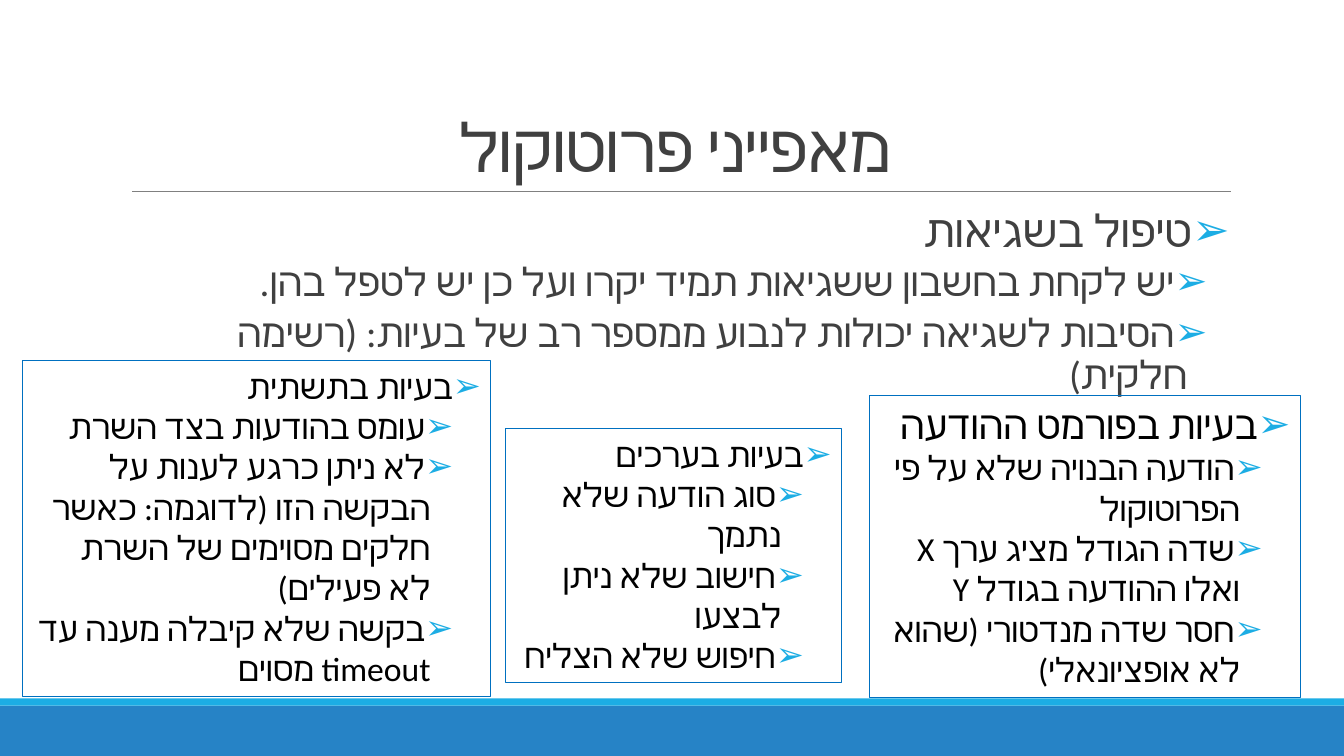
from lxml.etree import SubElement
from pptx import Presentation
from pptx.dml.color import RGBColor
from pptx.enum.shapes import MSO_CONNECTOR, MSO_SHAPE
from pptx.enum.text import MSO_ANCHOR, MSO_AUTO_SIZE, PP_ALIGN
from pptx.oxml.ns import qn
from pptx.util import Cm, Pt

CYAN = RGBColor(0x1C, 0xAD, 0xE4)
BLUE = RGBColor(0x26, 0x83, 0xC6)
BORDER = RGBColor(0x00, 0x70, 0xC0)
GRAY = RGBColor(0x80, 0x80, 0x80)
DARK = RGBColor(0x40, 0x40, 0x40)
BLACK = RGBColor(0, 0, 0)
FONT = "Calibri"


def style(p, size, color, align=PP_ALIGN.RIGHT):
    p.alignment = align
    p._p.get_or_add_pPr().set("rtl", "1")
    for r in p.runs:
        r.font.size = Pt(size)
        r.font.name = FONT
        r.font.color.rgb = color
        SubElement(r._r.get_or_add_rPr(), qn("a:cs"), typeface=FONT)


def bullet(p, margin, indent):
    pPr = p._p.get_or_add_pPr()
    pPr.set("marL", str(Cm(margin)))
    pPr.set("marR", "0")
    pPr.set("indent", str(Cm(indent)))
    clr = SubElement(pPr, qn("a:buClr"))
    SubElement(clr, qn("a:srgbClr"), val=str(CYAN))
    SubElement(pPr, qn("a:buFont"), typeface=FONT)
    SubElement(pPr, qn("a:buChar"), char="➢")


prs = Presentation()
prs.slide_width, prs.slide_height = Cm(33.87), Cm(19.05)
slide = prs.slides.add_slide(prs.slide_layouts[1])
shapes = slide.shapes

for top, height, color in [(17.78, 1.27, BLUE), (17.6, 0.18, CYAN)]:
    sp = shapes.add_shape(MSO_SHAPE.RECTANGLE, 0, Cm(top), prs.slide_width, Cm(height))
    sp.shadow.inherit = False
    sp.fill.solid()
    sp.fill.fore_color.rgb = color
    sp.line.fill.background()

rule = shapes.add_connector(MSO_CONNECTOR.STRAIGHT, Cm(3.33), Cm(4.83), Cm(31.01), Cm(4.83))
rule.line.color.rgb = GRAY
rule.line.width = Pt(0.5)
SubElement(rule._element.spPr, qn("a:effectLst"))

title = shapes.title
title.left, title.top, title.width, title.height = Cm(3.05), Cm(0.79), Cm(27.94), Cm(4.04)
tf = title.text_frame
tf.text = "מאפייני פרוטוקול"
tf.auto_size = MSO_AUTO_SIZE.NONE
tf.vertical_anchor = MSO_ANCHOR.BOTTOM
p = tf.paragraphs[0]
p.line_spacing = 0.85
style(p, 48, DARK, PP_ALIGN.CENTER)
p.runs[0]._r.get_or_add_rPr().set("spc", "-50")

body = slide.placeholders[1]
body.left, body.top, body.width, body.height = Cm(3.05), Cm(5.13), Cm(27.94), Cm(11.18)
tf = body.text_frame
tf.text = "\n".join([
    "טיפול בשגיאות",
    "יש לקחת בחשבון ששגיאות תמיד יקרו ועל כן יש לטפל בהן.",
    "הסיבות לשגיאה יכולות לנבוע ממספר רב של בעיות: (רשימה חלקית)",
])
tf.auto_size = MSO_AUTO_SIZE.NONE
tf.margin_left = tf.margin_right = 0
for i, p in enumerate(tf.paragraphs):
    p.level = min(i, 1)
    p.line_spacing = 0.9
    p.space_before, p.space_after = (Pt(2), Pt(4)) if i else (Pt(12), Pt(2))
    style(p, 28 if i else 32, DARK)
    bullet(p, *((1.07, -0.51) if i else (0.25, -0.25)))

boxes = [
    (21.92, 9.96, 10.85, 7.62, 28, [
        "בעיות בפורמט ההודעה",
        "הודעה הבנויה שלא על פי הפרוטוקול",
        "שדה הגודל מציג ערך X ואלו ההודעה בגודל Y",
        "חסר שדה מנדטורי (שהוא לא אופציונאלי)",
    ]),
    (12.73, 10.8, 8.48, 6.4, 24, [
        "בעיות בערכים",
        "סוג הודעה שלא נתמך",
        "חישוב שלא ניתן לבצעו",
        "חיפוש שלא הצליח",
    ]),
    (0.56, 9.09, 11.81, 8.46, 24, [
        "בעיות בתשתית",
        "עומס בהודעות בצד השרת",
        "לא ניתן כרגע לענות על הבקשה הזו (לדוגמה: כאשר חלקים מסוימים של השרת לא פעילים)",
        "בקשה שלא קיבלה מענה עד timeout מסוים",
    ]),
]
for left, top, width, height, head_size, lines in boxes:
    sp = shapes.add_shape(MSO_SHAPE.RECTANGLE, Cm(left), Cm(top), Cm(width), Cm(height))
    sp.shadow.inherit = False
    sp.fill.background()
    sp.line.color.rgb = BORDER
    sp.line.width = Pt(0.75)
    tf = sp.text_frame
    tf.text = "\n".join(lines)
    tf.word_wrap = True
    tf.auto_size = MSO_AUTO_SIZE.SHAPE_TO_FIT_TEXT
    tf.vertical_anchor = MSO_ANCHOR.TOP
    for i, p in enumerate(tf.paragraphs):
        p.level = min(i, 1)
        style(p, 24 if i else head_size, BLACK)
        bullet(p, *((1.27, -0.57) if i else (0, 0)))

prs.save("out.pptx")
